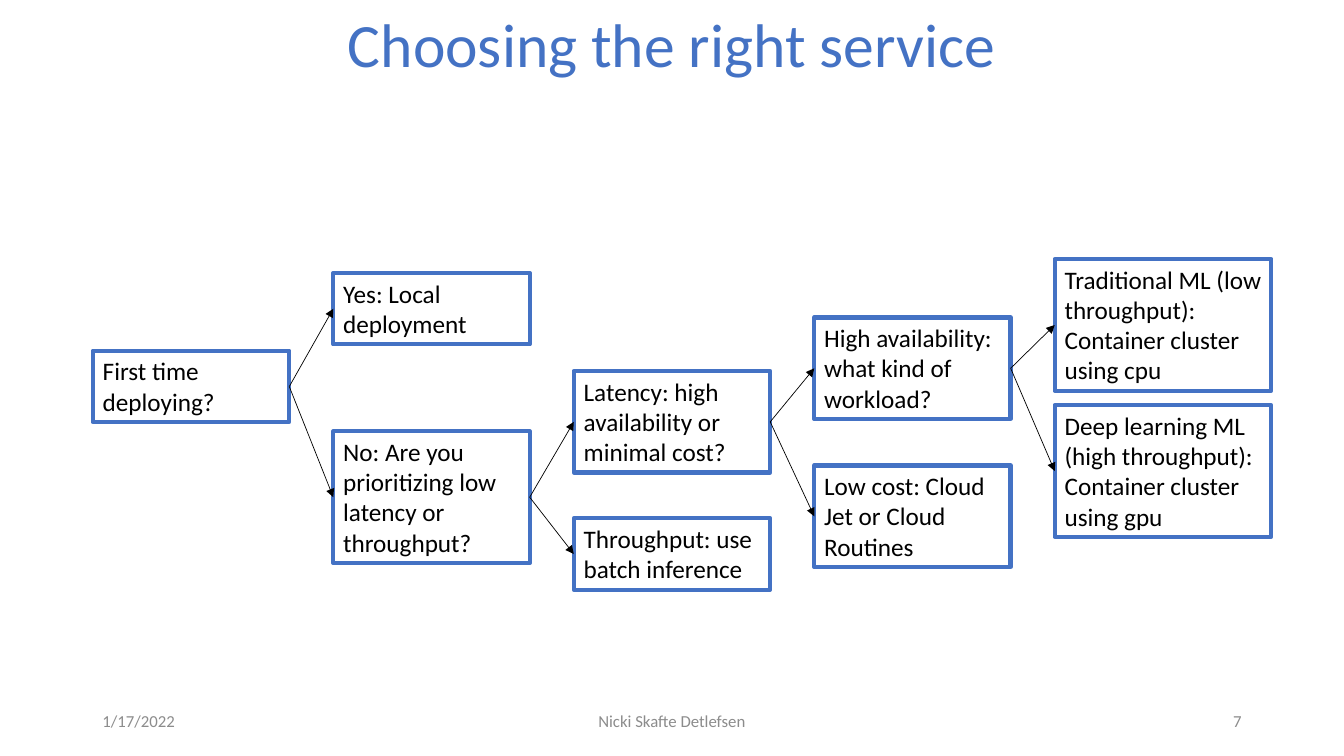
from dataclasses import dataclass
from typing import Optional

from lxml.etree import SubElement
from pptx import Presentation
from pptx.dml.color import RGBColor
from pptx.enum.shapes import MSO_CONNECTOR, MSO_SHAPE
from pptx.enum.text import MSO_ANCHOR, PP_ALIGN
from pptx.oxml.ns import qn
from pptx.shapes.autoshape import Shape
from pptx.slide import Slide
from pptx.util import Cm, Pt

BLUE = RGBColor(0x44, 0x72, 0xC4)
GRAY = RGBColor(0x8C, 0x8C, 0x8C)
BLACK = RGBColor(0, 0, 0)
WHITE = RGBColor(0xFF, 0xFF, 0xFF)
FONT = "Calibri"

FIRST_COLUMN = 2.34
COLUMN_STEP = 6.06
LINE_HEIGHT = 0.76
BOX_PADDING = 0.28
LEFT_SITE, RIGHT_SITE = 1, 3


@dataclass(frozen=True)
class Label:
    text: str
    left: float
    top: float
    width: float
    height: float
    size: int
    color: RGBColor
    alignment: PP_ALIGN
    line_spacing: float = 1.0


@dataclass(frozen=True)
class Step:
    key: str
    text: str
    column: int
    top: float
    lines: int
    parent: Optional[str] = None
    width: float = 4.95


LABELS = [
    Label("Choosing the right service", 2.33, -0.64, 29.21, 3.68, 44, BLUE, PP_ALIGN.CENTER, 0.9),
    Label("1/17/2022", 2.33, 17.65, 7.62, 1.02, 12, GRAY, PP_ALIGN.LEFT),
    Label("Nicki Skafte Detlefsen", 11.22, 17.65, 11.43, 1.02, 12, GRAY, PP_ALIGN.CENTER),
    Label("7", 23.92, 17.65, 7.62, 1.02, 12, GRAY, PP_ALIGN.RIGHT),
]

STEPS = [
    Step("start", "First time deploying?", 0, 8.84, 2),
    Step("local", "Yes: Local deployment", 1, 6.88, 2, "start"),
    Step("priority", "No: Are you prioritizing low latency or throughput?", 1, 10.87, 4, "start"),
    Step("latency", "Latency: high availability or minimal cost?", 2, 9.35, 3, "priority"),
    Step("batch", "Throughput: use batch inference", 2, 13.06, 2, "priority"),
    Step("workload", "High availability: what kind of workload?", 3, 8.0, 3, "latency"),
    Step("low_cost", "Low cost: Cloud Jet or Cloud Routines", 3, 11.73, 3, "latency"),
    Step("traditional", "Traditional ML (low throughput): Container cluster using cpu",
         4, 6.53, 4, "workload", 5.46),
    Step("deep", "Deep learning ML (high throughput): Container cluster using gpu",
         4, 10.21, 4, "workload", 5.46),
]


def write_text(holder: Shape, text: str, size: int, color: RGBColor,
               alignment: PP_ALIGN, anchor: MSO_ANCHOR, line_spacing: float = 1.0) -> None:
    frame = holder.text_frame
    frame.text = text
    frame.word_wrap = True
    frame.vertical_anchor = anchor
    paragraph = frame.paragraphs[0]
    paragraph.alignment = alignment
    paragraph.line_spacing = line_spacing
    font = paragraph.runs[0].font
    font.name = FONT
    font.size = Pt(size)
    font.color.rgb = color


def draw_label(slide: Slide, label: Label) -> None:
    holder = slide.shapes.add_textbox(
        Cm(label.left), Cm(label.top), Cm(label.width), Cm(label.height))
    write_text(holder, label.text, label.size, label.color,
               label.alignment, MSO_ANCHOR.MIDDLE, label.line_spacing)


def draw_step(slide: Slide, step: Step) -> Shape:
    box = slide.shapes.add_shape(
        MSO_SHAPE.RECTANGLE,
        Cm(FIRST_COLUMN + step.column * COLUMN_STEP), Cm(step.top),
        Cm(step.width), Cm(step.lines * LINE_HEIGHT + BOX_PADDING))
    box.shadow.inherit = False
    box.fill.solid()
    box.fill.fore_color.rgb = WHITE
    box.line.color.rgb = BLUE
    box.line.width = Pt(3)
    write_text(box, step.text, 18, BLACK, PP_ALIGN.LEFT, MSO_ANCHOR.TOP)
    return box


def draw_arrow(slide: Slide, parent: Shape, child: Shape) -> None:
    arrow = slide.shapes.add_connector(MSO_CONNECTOR.STRAIGHT, 0, 0, 0, 0)
    arrow.begin_connect(parent, RIGHT_SITE)
    arrow.end_connect(child, LEFT_SITE)
    arrow.line.color.rgb = BLACK
    arrow.line.width = Pt(0.5)
    SubElement(arrow.line._get_or_add_ln(), qn("a:tailEnd"), type="triangle")
    SubElement(arrow._element.spPr, qn("a:effectLst"))


def main() -> None:
    presentation = Presentation()
    presentation.slide_width = Cm(33.87)
    presentation.slide_height = Cm(19.05)
    slide = presentation.slides.add_slide(presentation.slide_layouts[6])
    for label in LABELS:
        draw_label(slide, label)
    boxes = {step.key: draw_step(slide, step) for step in STEPS}
    for step in STEPS:
        if step.parent:
            draw_arrow(slide, boxes[step.parent], boxes[step.key])
    presentation.save("out.pptx")


if __name__ == "__main__":
    main()
